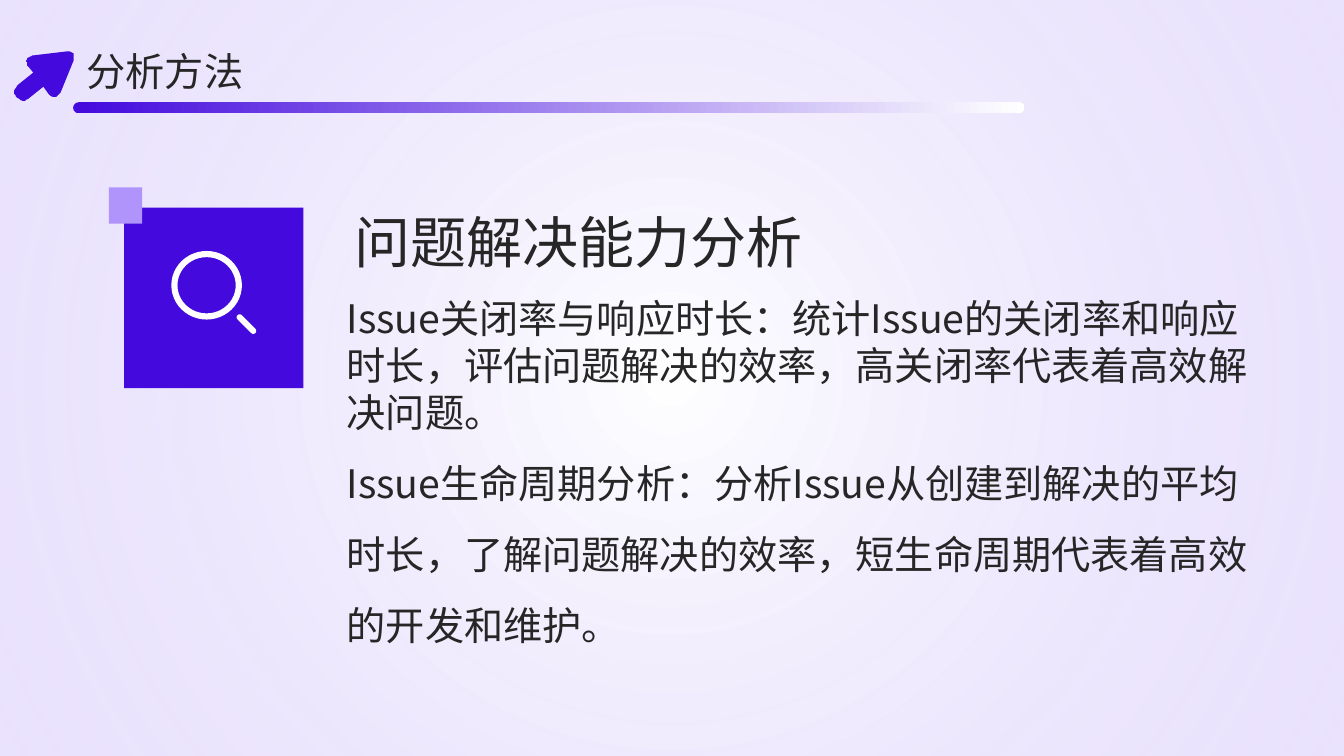
from lxml import etree
from pptx import Presentation
from pptx.dml.color import RGBColor
from pptx.enum.shapes import MSO_SHAPE
from pptx.enum.text import MSO_ANCHOR
from pptx.oxml.ns import qn
from pptx.util import Inches, Pt

RECTANGLE = MSO_SHAPE.RECTANGLE
ROUNDED = MSO_SHAPE.ROUNDED_RECTANGLE
RING = MSO_SHAPE.DONUT
TOP, MIDDLE, BOTTOM = MSO_ANCHOR.TOP, MSO_ANCHOR.MIDDLE, MSO_ANCHOR.BOTTOM

WIDTH, HEIGHT = Inches(13.33), Inches(7.5)
FONT = "Noto Sans CJK SC"
COLORS = {
    "violet": "4309DD",
    "lilac": "B093FB",
    "haze": "D7C9FD",
    "white": "FFFFFF",
    "ink": "262626",
}
ARROW_START = (27, 58)
ARROW_SEGMENTS = [
    [(26, 60), (26, 62), (28, 66)],
    [(33, 72)],
    [(18, 84)],
    [(14, 87), (13, 92), (16, 96)],
    [(19, 100), (24, 101), (28, 98)],
    [(43, 86)],
    [(48, 93)],
    [(48, 93), (55, 100), (60, 92)],
    [(73, 60)],
    [(73, 60), (76, 50), (66, 51)],
    [(33, 55)],
    [(33, 55), (29, 56), (27, 58)],
]
ISSUE_NOTES = [
    ("Issue关闭率与响应时长：统计Issue的关闭率和响应时长，"
     "评估问题解决的效率，高关闭率代表着高效解决问题。", Pt(33.6)),
    ("Issue生命周期分析：分析Issue从创建到解决的平均时长，"
     "了解问题解决的效率，短生命周期代表着高效的开发和维护。", Pt(50.6)),
]


def rgb(color):
    return RGBColor.from_string(COLORS[color])


def place(left, top, width, height):
    return [round(share * side / 100) for share, side in
            zip((left, top, width, height), (WIDTH, HEIGHT, WIDTH, HEIGHT))]


def paint(shape, color):
    shape.fill.solid()
    shape.fill.fore_color.rgb = rgb(color)
    shape.line.fill.background()
    shape.shadow.inherit = False


def add_block(slide, kind, box, color, corner=None, rotation=0):
    block = slide.shapes.add_shape(kind, *place(*box))
    paint(block, color)
    block.rotation = rotation
    if corner is not None:
        block.adjustments[0] = corner
    return block


def add_gradient(block, start, end):
    block.fill.gradient()
    block.fill.gradient_angle = 0
    for stop, color in zip(block.fill.gradient_stops, (start, end)):
        stop.color.rgb = rgb(color)


def add_backdrop(slide):
    backdrop = add_block(slide, RECTANGLE, (0, 0, 100, 100), "white")
    add_gradient(backdrop, "white", "haze")
    gradient = backdrop._element.spPr.find(qn("a:gradFill"))
    haze = gradient.findall(".//" + qn("a:srgbClr"))[-1]
    etree.SubElement(haze, qn("a:alpha"), val="50000")
    glow = etree.Element(qn("a:path"), {"path": "circle"})
    etree.SubElement(glow, qn("a:fillToRect"),
                     dict.fromkeys("ltrb", "50000"))
    gradient.replace(gradient.find(qn("a:lin")), glow)


def curve_points(start, controls, steps=8):
    if len(controls) == 1:
        return controls
    (x0, y0), (x1, y1), (x2, y2), (x3, y3) = [start, *controls]
    points = []
    for step in range(1, steps + 1):
        t = step / steps
        a, b, c, d = (1 - t) ** 3, 3 * t * (1 - t) ** 2, 3 * t * t * (1 - t), t ** 3
        points.append((a * x0 + b * x1 + c * x2 + d * x3,
                       a * y0 + b * y1 + c * y2 + d * y3))
    return points


def add_arrow(slide):
    outline = slide.shapes.build_freeform(*ARROW_START, scale=Inches(0.01))
    corner = ARROW_START
    for controls in ARROW_SEGMENTS:
        outline.add_line_segments(curve_points(corner, controls), close=False)
        corner = controls[-1]
    outline.add_line_segments([ARROW_START], close=True)
    paint(outline.convert_to_shape(), "violet")


def add_text(slide, box, paragraphs, size, anchor):
    frame = slide.shapes.add_textbox(*place(*box)).text_frame
    frame.word_wrap = True
    frame.vertical_anchor = anchor
    frame.margin_left = frame.margin_right = 0
    frame.margin_top = frame.margin_bottom = 0
    for index, (text, spacing) in enumerate(paragraphs):
        paragraph = frame.add_paragraph() if index else frame.paragraphs[0]
        paragraph.text = text
        paragraph.line_spacing = spacing
        paragraph.font.size = Pt(size)
        paragraph.font.color.rgb = rgb("ink")
        paragraph.font.name = FONT
        latin = paragraph._p.pPr.find(".//" + qn("a:latin"))
        latin.addnext(etree.Element(qn("a:ea"), typeface=FONT))


def add_search_icon(slide):
    add_block(slide, RECTANGLE, (9.23, 27.47, 13.35, 23.87), "violet")
    add_block(slide, RECTANGLE, (8.1, 24.8, 2.48, 4.8), "lilac")
    add_block(slide, RING, (12.75, 33.2, 5.25, 9.07), "white", corner=0.09)
    add_block(slide, ROUNDED, (17.4, 42.47, 1.88, 0.8), "white",
              corner=0.5, rotation=45)


def main():
    deck = Presentation()
    deck.slide_width, deck.slide_height = WIDTH, HEIGHT
    slide = deck.slides.add_slide(deck.slide_layouts[6])
    add_backdrop(slide)
    add_search_icon(slide)
    add_text(slide, (25.8, 38.93, 68.18, 46.27), ISSUE_NOTES, 28, TOP)
    add_text(slide, (26.4, 31.07, 34.73, 5.33), [("问题解决能力分析", 1.5)], 40, BOTTOM)
    add_text(slide, (6.45, 5.6, 87.53, 6.8), [("分析方法", 1.1)], 28, MIDDLE)
    underline = add_block(slide, ROUNDED, (5.44, 13.53, 70.8, 1.47), "violet", corner=0.5)
    add_gradient(underline, "violet", "white")
    add_arrow(slide)
    deck.save("out.pptx")


if __name__ == "__main__":
    main()
